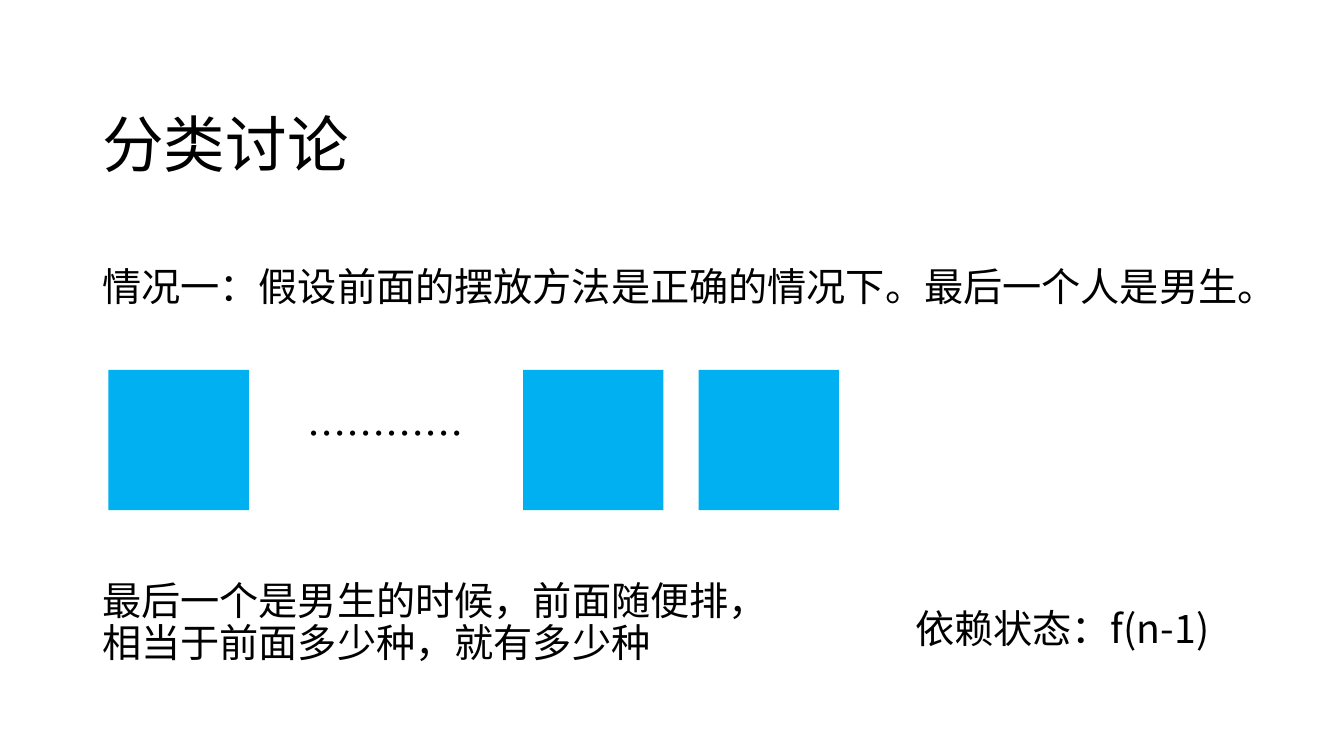
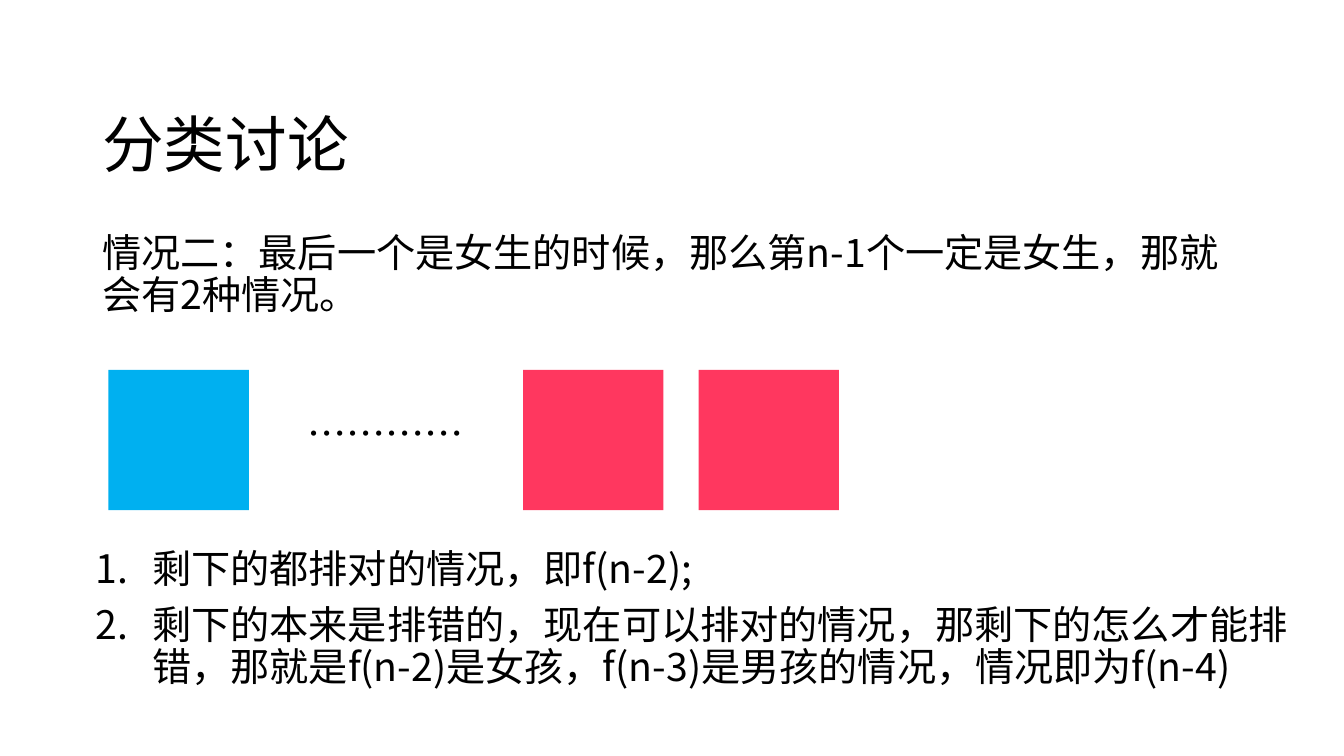
from lxml import etree
from pptx import Presentation
from pptx.dml.color import RGBColor
from pptx.enum.shapes import MSO_SHAPE
from pptx.enum.text import MSO_ANCHOR, PP_ALIGN
from pptx.oxml.ns import qn
from pptx.util import Pt

RECT = MSO_SHAPE.RECTANGLE
TOP, MIDDLE = MSO_ANCHOR.TOP, MSO_ANCHOR.MIDDLE
LEFT, CENTER = PP_ALIGN.LEFT, PP_ALIGN.CENTER

FONT = "Noto Sans CJK SC"
COLORS = {"text": "000000", "boy": "00B0F0", "girl": "FF375F"}

# Content: boxes are left, top, width, height in points
TITLE = "分类讨论"
TITLE_BOX = (66, 53.5, 828, 104.4)
DOTS = "…………"
DOTS_BOX = (167, 292.3, 216.7, 44.6)
SIDE, ROW_TOP = 100.3, 264.2
ROW_LEFTS = (77.5, 373.7, 499)

SLIDES = [
    {
        "row": ("boy", "boy", "boy"),
        "texts": [
            {"box": (66, 187.9, 828, 83.5),
             "lines": ["情况一：假设前面的摆放方法是正确的情况下。最后一个人是男生。"]},
            {"box": (66, 411.8, 505.4, 83.5),
             "lines": ["最后一个是男生的时候，前面随便排，相当于前面多少种，就有多少种"]},
            {"box": (646.6, 432, 270, 54.7), "lines": ["依赖状态：f(n-1)"]},
        ],
    },
    {
        "row": ("boy", "girl", "girl"),
        "texts": [
            {"box": (66, 163.4, 828, 83.5),
             "lines": ["情况二：最后一个是女生的时候，那么第n-1个一定是女生，那就会有2种情况。"]},
            {"box": (61.2, 388.8, 879, 128.2), "numbered": True,
             "lines": ["剩下的都排对的情况，即f(n-2);",
                       "剩下的本来是排错的，现在可以排对的情况，那剩下的怎么才能排错，"
                       "那就是f(n-2)是女孩，f(n-3)是男孩的情况，情况即为f(n-4)"]},
        ],
    },
]


def rgb(name):
    return RGBColor.from_string(COLORS[name])


def number(para, indent=40.5):
    """Give a paragraph an automatic number and a hanging indent."""
    props = para._p.get_or_add_pPr()
    props.set("marL", str(Pt(indent)))
    props.set("indent", str(-Pt(indent)))
    etree.SubElement(props, qn("a:buFont"), typeface="+mj-lt")
    etree.SubElement(props, qn("a:buAutoNum"), type="arabicPeriod")


def add_text(slide, box, lines, size=28, align=LEFT, anchor=TOP,
             before=10, numbered=False):
    frame = slide.shapes.add_textbox(*map(Pt, box)).text_frame
    frame.word_wrap = True
    frame.vertical_anchor = anchor
    for i, line in enumerate(lines):
        para = frame.add_paragraph() if i else frame.paragraphs[0]
        para.alignment = align
        para.line_spacing = 0.9
        para.space_before = Pt(before)
        if numbered:
            number(para)
        run = para.add_run()
        run.text = line
        run.font.size = Pt(size)
        run.font.color.rgb = rgb("text")
        run.font.name = FONT
        etree.SubElement(run._r.get_or_add_rPr(), qn("a:ea"), typeface=FONT)


def add_row(slide, kinds):
    """Draw the line of pupils, with dots after the first."""
    for left, kind in zip(ROW_LEFTS, kinds):
        square = slide.shapes.add_shape(
            RECT, Pt(left), Pt(ROW_TOP), Pt(SIDE), Pt(SIDE))
        square.shadow.inherit = False
        square.fill.solid()
        square.fill.fore_color.rgb = rgb(kind)
        square.line.fill.background()
    add_text(slide, DOTS_BOX, [DOTS], align=CENTER)


def main():
    deck = Presentation()
    deck.slide_width, deck.slide_height = Pt(960), Pt(540)
    blank = deck.slide_layouts[6]
    for page in SLIDES:
        slide = deck.slides.add_slide(blank)
        add_text(slide, TITLE_BOX, [TITLE], size=44, anchor=MIDDLE, before=0)
        for text in page["texts"]:
            add_text(slide, **text)
        add_row(slide, page["row"])
    deck.save("out.pptx")


if __name__ == "__main__":
    main()
